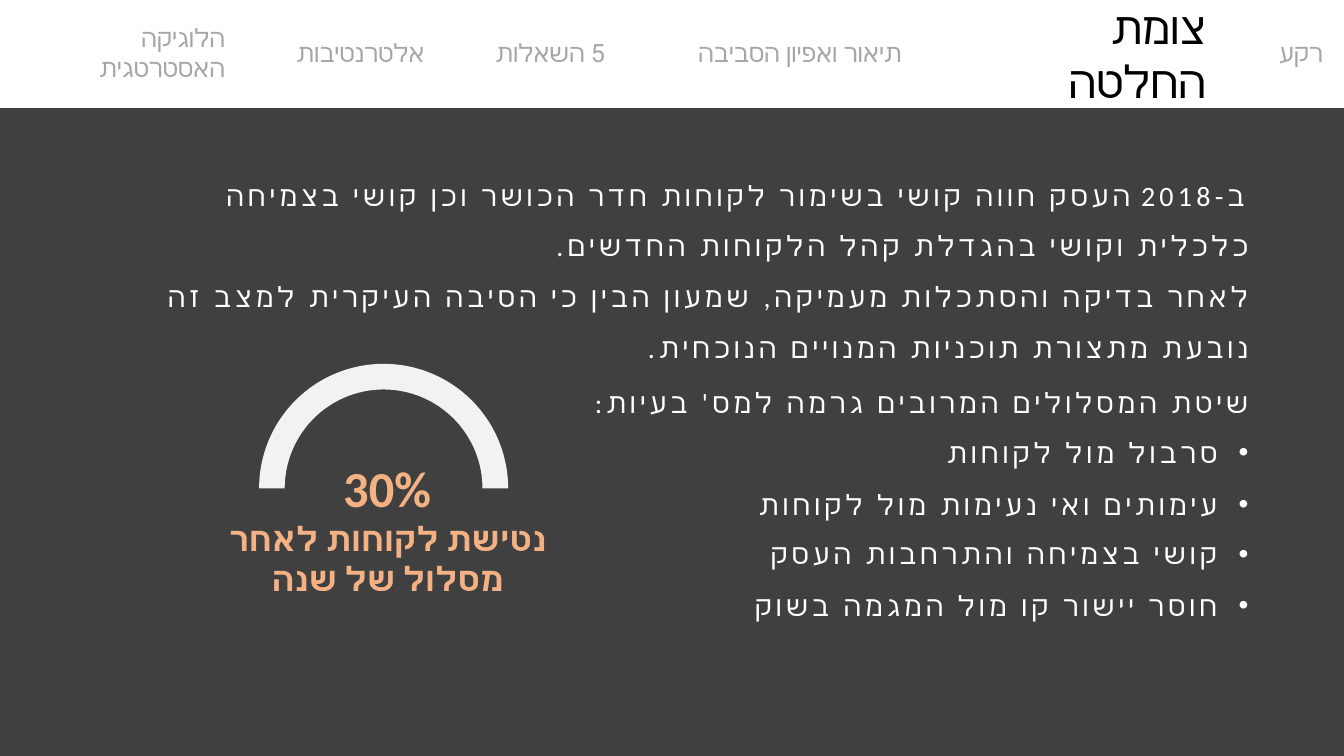
from dataclasses import dataclass

from lxml.etree import SubElement
from pptx import Presentation
from pptx.dml.color import RGBColor as RGB
from pptx.enum.shapes import MSO_SHAPE as SHAPE
from pptx.enum.text import MSO_ANCHOR as ANCHOR, MSO_AUTO_SIZE as AUTO, PP_ALIGN as ALIGN
from pptx.oxml.ns import qn
from pptx.util import Inches, Pt


@dataclass(frozen=True)
class Theme:
    dark: RGB = RGB(0x40, 0x40, 0x40)
    white: RGB = RGB(0xFF, 0xFF, 0xFF)
    black: RGB = RGB(0, 0, 0)
    muted: RGB = RGB(0xA6, 0xA6, 0xA6)
    gauge: RGB = RGB(0xF2, 0xF2, 0xF2)
    accent: RGB = RGB(0xF4, 0xB1, 0x83)
    nav_font: str = "Roboto"
    body_font: str = "Calibri"
    nav_size: int = 18
    current_size: int = 32
    body_size: int = 20
    figure_size: int = 36
    caption_size: int = 24


theme = Theme()
prs = Presentation()
prs.slide_width, prs.slide_height = Inches(13.33), Inches(7.5)
slide = prs.slides.add_slide(prs.slide_layouts[6])
slide.background.fill.solid()
slide.background.fill.fore_color.rgb = theme.dark


def add_text(text, box, font, size, color, align=ALIGN.RIGHT, bold=None):
    """Add a one-paragraph box and return its paragraph and run."""
    frame = slide.shapes.add_textbox(*map(Inches, box)).text_frame
    frame.word_wrap = True
    frame.auto_size = AUTO.SHAPE_TO_FIT_TEXT
    if font == theme.nav_font:
        frame.vertical_anchor = ANCHOR.MIDDLE
    paragraph = frame.paragraphs[0]
    paragraph.alignment = align
    if align == ALIGN.RIGHT:
        paragraph._p.get_or_add_pPr().set("rtl", "1")
    run = paragraph.add_run()
    run.text = text
    run.font.name, run.font.size, run.font.bold = font, Pt(size), bold
    run.font.color.rgb = color
    SubElement(run._r.get_or_add_rPr(), qn("a:cs"), typeface=font)
    return paragraph, run


def add_filled(kind, box, color):
    shape = slide.shapes.add_shape(kind, *map(Inches, box))
    shape.shadow.inherit = False
    shape.fill.solid()
    shape.fill.fore_color.rgb = color
    shape.line.fill.background()
    return shape


# Navigation bar
add_filled(SHAPE.RECTANGLE, (0, -0.02, 13.33, 1.09), theme.white)
add_text("צומת החלטה", (9.54, 0.21, 2.52, 0.64),
         theme.nav_font, theme.current_size, theme.black)
for topic, left, width in (
    ("רקע", 12.57, 0.65),
    ("תיאור ואפיון הסביבה", 6.61, 2.43),
    ("5 השאלות", 4.81, 1.29),
    ("אלטרנטיבות", 2.84, 1.47),
    ("הלוגיקה האסטרטגית", 0.01, 2.32),
):
    add_text(topic, (left, 0.32, width, 0.4), theme.nav_font, theme.nav_size, theme.muted)

# Body: two wide statements, then a lead-in with its bulleted problems
WIDE, NARROW = (1, 11.48), (5.53, 6.95)
for statement, (left, width), top, height, bulleted in (
    ("ב-2018 העסק חווה קושי בשימור לקוחות חדר הכושר וכן קושי בצמיחה כלכלית"
     " וקושי בהגדלת קהל הלקוחות החדשים.", WIDE, 1.55, 1.05, False),
    ("לאחר בדיקה והסתכלות מעמיקה, שמעון הבין כי הסיבה העיקרית למצב זה"
     " נובעת מתצורת תוכניות המנויים הנוכחית.", WIDE, 2.56, 1.03, False),
    ("שיטת המסלולים המרובים גרמה למס' בעיות:", NARROW, 3.61, 0.53, False),
    ("סרבול מול לקוחות", NARROW, 4.1, 0.53, True),
    ("עימותים ואי נעימות מול לקוחות", NARROW, 4.62, 0.53, True),
    ("קושי בצמיחה והתרחבות העסק", NARROW, 5.11, 0.53, True),
    ("חוסר יישור קו מול המגמה בשוק", NARROW, 5.62, 0.55, True),
):
    paragraph, run = add_text(statement, (left, top, width, height),
                              theme.body_font, theme.body_size, theme.white)
    paragraph.line_spacing = 1.5
    run._r.get_or_add_rPr().set("spc", "300")
    if bulleted:
        props = paragraph._p.get_or_add_pPr()
        props.set("marL", str(Inches(0.31)))
        props.set("indent", str(-Inches(0.31)))
        SubElement(props, qn("a:buFont"), typeface="Arial")
        SubElement(props, qn("a:buChar"), char="•")

# Churn gauge: upper half ring, from 180 degrees round to 0
gauge = add_filled(SHAPE.BLOCK_ARC, (2.57, 3.61, 2.47, 2.47), theme.gauge)
for index, value in enumerate((108, 0, 0.103)):
    gauge.adjustments[index] = value
add_text("30%", (3.18, 4.49, 1.32, 0.71), theme.body_font, theme.figure_size,
         theme.accent, ALIGN.CENTER, True)
add_text("נטישת לקוחות לאחר מסלול של שנה", (2.15, 5.09, 3.39, 0.91), theme.body_font,
         theme.caption_size, theme.accent, ALIGN.CENTER, True)

prs.save("out.pptx")
